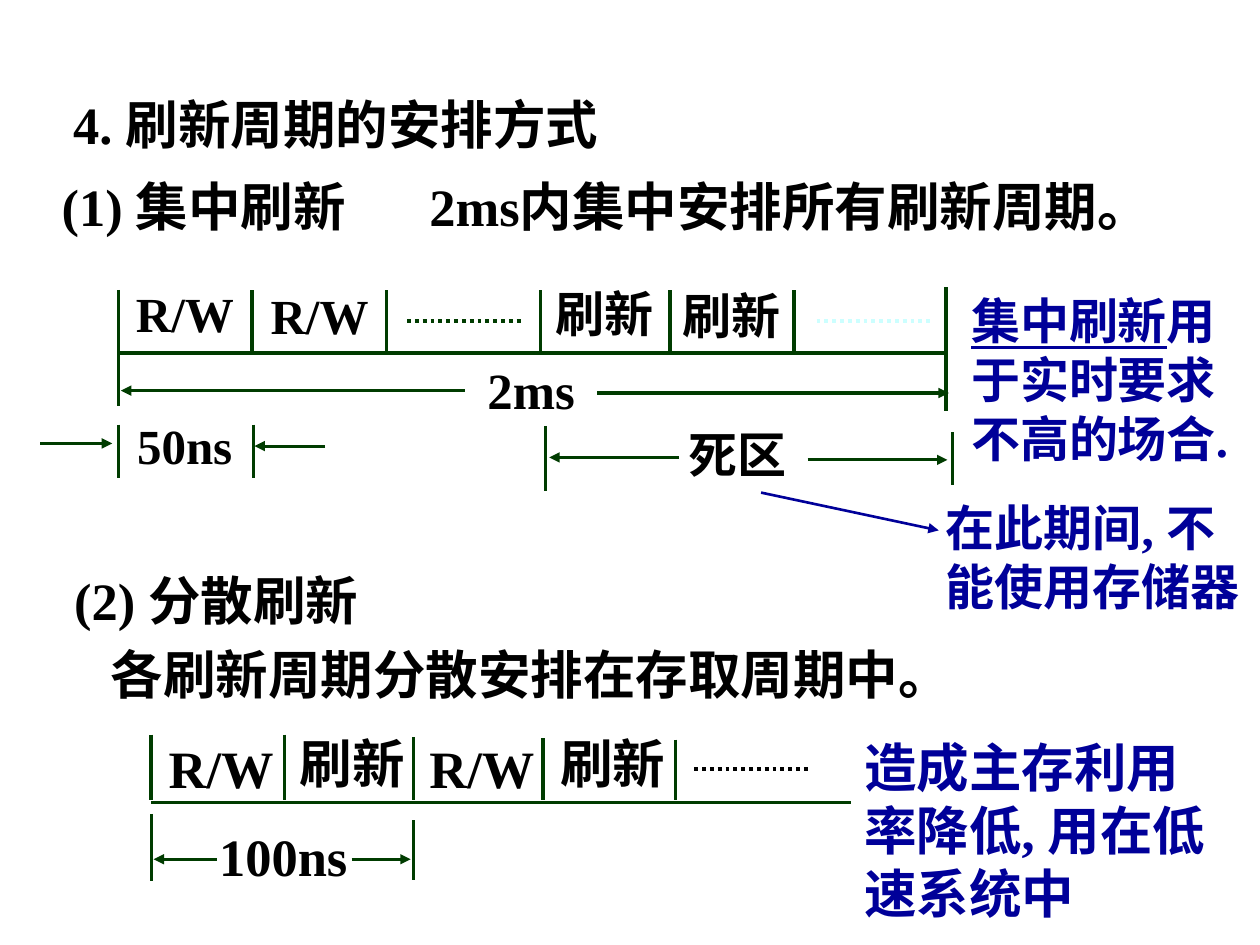
"""Build the slide on concentrated and distributed memory refresh."""
from dataclasses import dataclass

from lxml import etree
from pptx import Presentation
from pptx.dml.color import RGBColor
from pptx.enum.dml import MSO_LINE
from pptx.enum.shapes import MSO_CONNECTOR
from pptx.enum.text import MSO_ANCHOR, MSO_AUTO_SIZE, PP_ALIGN
from pptx.oxml.ns import qn
from pptx.util import Pt

BLACK = RGBColor(0x00, 0x00, 0x00)
BLUE = RGBColor(0x00, 0x00, 0x99)
GREEN = RGBColor(0x00, 0x3C, 0x00)
PALE = RGBColor(0xCC, 0xFF, 0xFF)
FONT = "Times New Roman"
STRAIGHT = MSO_CONNECTOR.STRAIGHT
DOTTED = MSO_LINE.ROUND_DOT
TOP = MSO_ANCHOR.TOP
LEFT = PP_ALIGN.LEFT
FIXED = MSO_AUTO_SIZE.NONE
TITLE_ONLY = 5


@dataclass(frozen=True)
class Label:
    text: str
    left: float
    top: float
    width: float
    height: float = 44
    size: float = 30
    color: RGBColor = BLACK
    underlined: str = ""


@dataclass(frozen=True)
class Stroke:
    start: tuple[float, float]
    end: tuple[float, float]
    width: float = 1.75
    color: RGBColor = GREEN
    dotted: bool = False
    arrow: bool = False


def tick(x: float, top: float, bottom: float, width: float = 2) -> Stroke:
    """Describe a vertical divider."""
    return Stroke((x, top), (x, bottom), width)


def arrow(start: float, end: float, y: float) -> Stroke:
    """Describe a horizontal arrow pointing at its end."""
    return Stroke((start, y), (end, y), arrow=True)


def dots(left: float, y: float, color: RGBColor) -> Stroke:
    """Describe a dotted ellipsis inside a timeline."""
    return Stroke((left, y), (left + 66, y), 2.25, color, dotted=True)


def fill_label(box, label: Label) -> None:
    """Place a box and write its text."""
    box.left, box.top = Pt(label.left), Pt(label.top)
    box.width, box.height = Pt(label.width), Pt(label.height)
    frame = box.text_frame
    frame.word_wrap = True
    frame.auto_size = FIXED
    frame.vertical_anchor = TOP
    para = frame.paragraphs[0]
    para.alignment = LEFT
    para.space_before = Pt(0)
    if label.underlined:
        span = para.add_run()
        span.text = label.underlined
        span.font.underline = True
    para.add_run().text = label.text
    para.font.name = FONT
    para.font.size = Pt(label.size)
    para.font.bold = True
    para.font.color.rgb = label.color


def draw_label(page, label: Label) -> None:
    """Add a text box for a label."""
    fill_label(page.shapes.add_textbox(0, 0, 0, 0), label)


def draw_stroke(page, stroke: Stroke) -> None:
    """Add a straight connector for a stroke."""
    ends = [Pt(value) for value in (*stroke.start, *stroke.end)]
    connector = page.shapes.add_connector(STRAIGHT, *ends)
    line = connector.line
    line.width = Pt(stroke.width)
    line.color.rgb = stroke.color
    if stroke.dotted:
        line.dash_style = DOTTED
    properties = connector._element.spPr
    if stroke.arrow:
        etree.SubElement(properties.find(qn("a:ln")), qn("a:tailEnd"), type="triangle")
    etree.SubElement(properties, qn("a:effectLst"))


TITLE = Label("4. 刷新周期的安排方式", 34.6, 49, 391)

CONCENTRATED_CELLS = [
    Label(text, left, top, 80, 41, 28)
    for text, left, top in (
        ("R/W", 70.6, 158.4), ("R/W", 147.6, 159.8),
        ("刷新", 310.3, 158.4), ("刷新", 383, 159.8),
    )
]
DISTRIBUTED_CELLS = [
    Label(text, left, top, 80)
    for text, left, top in (
        ("R/W", 89.3, 416.9), ("刷新", 164.2, 414),
        ("R/W", 238.3, 416.9), ("刷新", 313.2, 414),
    )
]
LABELS = [
    Label("(1) 集中刷新", 28.1, 95.8, 212.4),
    Label("2ms内集中安排所有刷新周期。", 238.3, 95.8, 465.8),
    *CONCENTRATED_CELLS,
    Label("2ms", 271.5, 201.6, 88, 42, 29),
    Label("50ns", 71.3, 234, 72, 41, 28),
    Label("死区", 386.6, 239, 82.8, 41, 28),
    Label("用于实时要求不高的场合.", 547.9, 162.7, 169.9, 108, 28, BLUE, "集中刷新"),
    Label("在此期间, 不能使用存储器", 533.5, 280.8, 190.1, 74.2, 28, BLUE),
    Label("(2) 分散刷新", 35.3, 321.1, 201.6),
    Label("各刷新周期分散安排在存取周期中。", 56.2, 363.6, 534.2),
    *DISTRIBUTED_CELLS,
    Label("100ns", 118.1, 467.3, 102.2),
    Label("造成主存利用率降低, 用在低速系统中", 486.7, 416.2, 216, 116.6, color=BLUE),
]

CONCENTRATED_AXIS = 201.6
DISTRIBUTED_AXIS = 458.6
STROKES = [
    Stroke((67.7, CONCENTRATED_AXIS), (539.3, CONCENTRATED_AXIS), 2),
    tick(67.7, 165.6, 231.8),
    *(tick(x, 166, CONCENTRATED_AXIS) for x in (144, 221, 308.9, 383, 453.6)),
    tick(540.7, 164.2, 234.7),
    dots(232.6, 183.6, GREEN),
    dots(466.6, 183.6, PALE),
    arrow(265.7, 69.1, 223.2),
    arrow(341.3, 542.2, 224.6),
    *(tick(x, 242.6, 272.9, 1.75) for x in (67.7, 144.7)),
    arrow(23, 64.1, 253.4),
    arrow(185.8, 145.4, 254.9),
    tick(311.8, 243.4, 280.8, 1.75),
    tick(544.3, 247, 277.2, 1.75),
    arrow(388.1, 313.9, 261.4),
    arrow(461.5, 541.4, 262.8),
    Stroke((434.9, 281.5), (536.4, 303.1), 1.5, BLUE, arrow=True),
    Stroke((86.4, DISTRIBUTED_AXIS), (486, DISTRIBUTED_AXIS), 2),
    *(tick(x, top, 457.2) for x, top in (
        (86.4, 419.8), (162.7, 419.8), (236.2, 421.2), (310.3, 421.9), (385.9, 422.6),
    )),
    dots(396.7, 439.2, BLACK),
    tick(86.4, 465.1, 503.3, 1.75),
    tick(236.2, 468.7, 502.6, 1.75),
    arrow(123.8, 87.8, 491),
    arrow(200.9, 234.7, 491),
]


def main() -> None:
    """Build and save the deck."""
    deck = Presentation()
    deck.slide_width, deck.slide_height = Pt(720), Pt(540)
    page = deck.slides.add_slide(deck.slide_layouts[TITLE_ONLY])
    fill_label(page.shapes.title, TITLE)
    for label in LABELS:
        draw_label(page, label)
    for stroke in STROKES:
        draw_stroke(page, stroke)
    deck.save("out.pptx")


if __name__ == "__main__":
    main()
